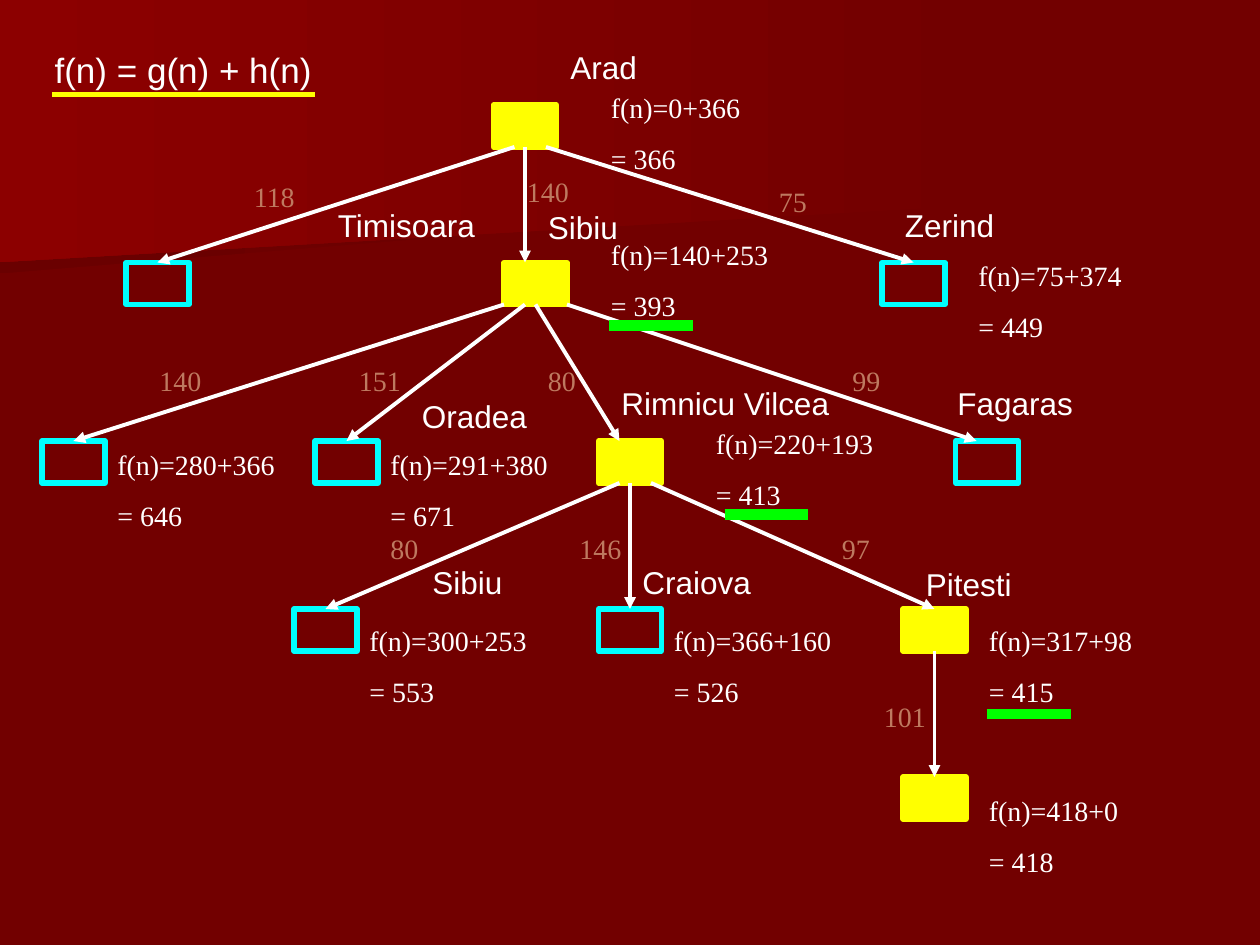
from pptx import Presentation
from pptx.dml.color import RGBColor as RGB
from pptx.enum.shapes import MSO_CONNECTOR as Link, MSO_SHAPE as Preset
from pptx.enum.text import MSO_ANCHOR as Anchor, MSO_AUTO_SIZE as AutoSize, PP_ALIGN as Align
from pptx.oxml.ns import qn
from pptx.util import Inches, Pt
from lxml import etree

THEME = {
    "ground": RGB.from_string("720000"),
    "band_dark": RGB.from_string("6A0000"),
    "band_bright": RGB.from_string("8C0000"),
    "white": RGB.from_string("FFFFFF"),
    "visited": RGB.from_string("FFFF00"),
    "open": RGB.from_string("00FFFF"),
    "best": RGB.from_string("00FF00"),
    "step": RGB.from_string("BE7960"),
    "heading_font": "Arial", "number_font": "Times New Roman",
    "title_size": 20, "city_size": 18, "number_size": 16,
}
CELL = Inches(1) / 12  # the tree is laid out on a grid of twelfths of an inch
BOX_WIDTH, BOX_HEIGHT = 6, 4
ROWS = [10, 25, 42, 58, 74]


def set_text(box, left, top, width, height, lines, font, size, color, align=Align.LEFT):
    """Place a text shape on the grid and fill it, one paragraph per line."""
    box.left, box.top = round(left * CELL), round(top * CELL)
    box.width, box.height = round(width * CELL), Inches(height)
    frame = box.text_frame
    frame.text = "\n".join(lines)
    frame_format = {"word_wrap": True, "auto_size": AutoSize.NONE, "vertical_anchor": Anchor.TOP}
    for name, value in frame_format.items():
        setattr(frame, name, value)
    for para in frame.paragraphs:
        para.alignment = align
        para.space_before = Pt(size * 0.625)
        span = para.runs[0]
        for name, value in {"name": font, "size": Pt(size)}.items():
            setattr(span.font, name, value)
        span.font.color.rgb = color


def add_line(page, start, end, color, width, arrow=False):
    """Draw a straight line between two grid points, with an optional arrowhead."""
    points = [round(value * CELL) for value in (*start, *end)]
    line = page.shapes.add_connector(Link.STRAIGHT, *points)
    line.line.color.rgb = color
    line.line.width = Pt(width)
    if arrow:
        etree.SubElement(line.line._get_or_add_ln(), qn("a:tailEnd"), type="triangle")
    etree.SubElement(line.element.spPr, qn("a:effectLst"))


deck = Presentation()
deck.slide_width, deck.slide_height = Inches(10), Inches(7.5)
page = deck.slides.add_slide(deck.slide_layouts[5])

# Background with two gradient bands
page.background.fill.solid()
page.background.fill.fore_color.rgb = THEME["ground"]
bands = [
    ([(0, 1.01), (7.79, 1.01), (7.78, 1.53), (0, 2.17)], THEME["band_dark"]),
    ([(0, 0), (7.92, 0), (7.92, 1.62), (0, 2.08)], THEME["band_bright"]),
]
for corners, color in bands:
    corners = [(Inches(x), Inches(y)) for x, y in corners]
    builder = page.shapes.build_freeform(*corners[0])
    builder.add_line_segments(corners[1:], close=True)
    band = builder.convert_to_shape()
    band.shadow.inherit = False
    band.line.fill.background()
    band.fill.gradient()
    band.fill.gradient_angle = 180
    for stop, stop_color in zip(band.fill.gradient_stops, (THEME["ground"], color)):
        stop.color.rgb = stop_color

# Title, brought in front of the bands
title = page.shapes.title
page.shapes.element.append(title.element)
set_text(title, 4, 4, 37, 0.44, ["f(n) = g(n) + h(n)"],
         THEME["heading_font"], THEME["title_size"], THEME["white"])

# Nodes: left edge and state, row by row
nodes = [
    [(47, "visited")],
    [(12, "open"), (48, "visited"), (84, "open")],
    [(4, "open"), (30, "open"), (57, "visited"), (91, "open")],
    [(28, "open"), (57, "open"), (86, "visited")],
    [(86, "visited")],
]
for top, row in zip(ROWS, nodes):
    for left, state in row:
        node = page.shapes.add_shape(Preset.RECTANGLE, *[
            round(value * CELL) for value in (left, top, BOX_WIDTH, BOX_HEIGHT)])
        node.shadow.inherit = False
        node.line.color.rgb = THEME[state]
        node.line.width = Pt(3)
        if state == "visited":
            node.fill.solid()
            node.fill.fore_color.rgb = THEME[state]
        else:
            node.fill.background()

# Edges: start and end across, from each row down to the next
edges = [
    [(49, 15), (50, 50), (52, 87)],
    [(48, 7), (50, 33), (54, 93), (51, 59)],
    [(59, 31), (62, 89), (60, 60)],
    [(89, 89)],
]
for upper, lower, row in zip(ROWS, ROWS[1:], edges):
    for start, end in row:
        add_line(page, (start, upper + BOX_HEIGHT), (end, lower), THEME["white"], 2.25, arrow=True)

# City names
cities = [
    ("Arad", 52, 4, 11), ("Timisoara", 31, 19, 17), ("Sibiu", 51, 19.2, 10),
    ("Zerind", 85, 19, 12), ("Oradea", 39, 37.2, 13), ("Rimnicu Vilcea", 58, 36, 23),
    ("Fagaras", 90, 36, 14), ("Sibiu", 40, 53, 10), ("Craiova", 60, 53, 15),
    ("Pitesti", 87, 53.2, 11),
]
for name, left, top, width in cities:
    set_text(page.shapes.add_textbox(0, 0, 0, 0), left, top, width, 0.4, [name],
             THEME["heading_font"], THEME["city_size"], THEME["white"],
             Align.CENTER if name == "Arad" else Align.LEFT)

# Estimated totals: path cost so far plus heuristic
estimates = [
    (0, 366, 57, 8), (140, 253, 57, 22), (75, 374, 92, 24), (280, 366, 10, 42),
    (291, 380, 36, 42), (220, 193, 67, 40), (300, 253, 34, 58.8),
    (366, 160, 63, 58.8), (317, 98, 93, 58.8), (418, 0, 93, 75),
]
for cost, heuristic, left, top in estimates:
    set_text(page.shapes.add_textbox(0, 0, 0, 0), left, top, 20, 0.77,
             [f"f(n)={cost}+{heuristic}", f"= {cost + heuristic}"],
             THEME["number_font"], THEME["number_size"], THEME["white"])

# Step costs beside the edges
steps = [
    (118, 23, 16.5), (140, 49, 16), (75, 73, 17),
    (140, 14, 34), (151, 33, 34), (80, 51, 34), (99, 80, 34),
    (80, 36, 50), (146, 54, 50), (97, 79, 50), (101, 83, 66),
]
for cost, left, top in steps:
    set_text(page.shapes.add_textbox(0, 0, 0, 0), left, top, 7, 0.37, [str(cost)],
             THEME["number_font"], THEME["number_size"], THEME["step"])

# Underlines: the title and the best totals
add_line(page, (5, 9), (30, 9), THEME["visited"], 3)
for left, top in [(58, 31), (69, 49), (94, 68)]:
    add_line(page, (left, top), (left + 8, top), THEME["best"], 6)

deck.save("out.pptx")
